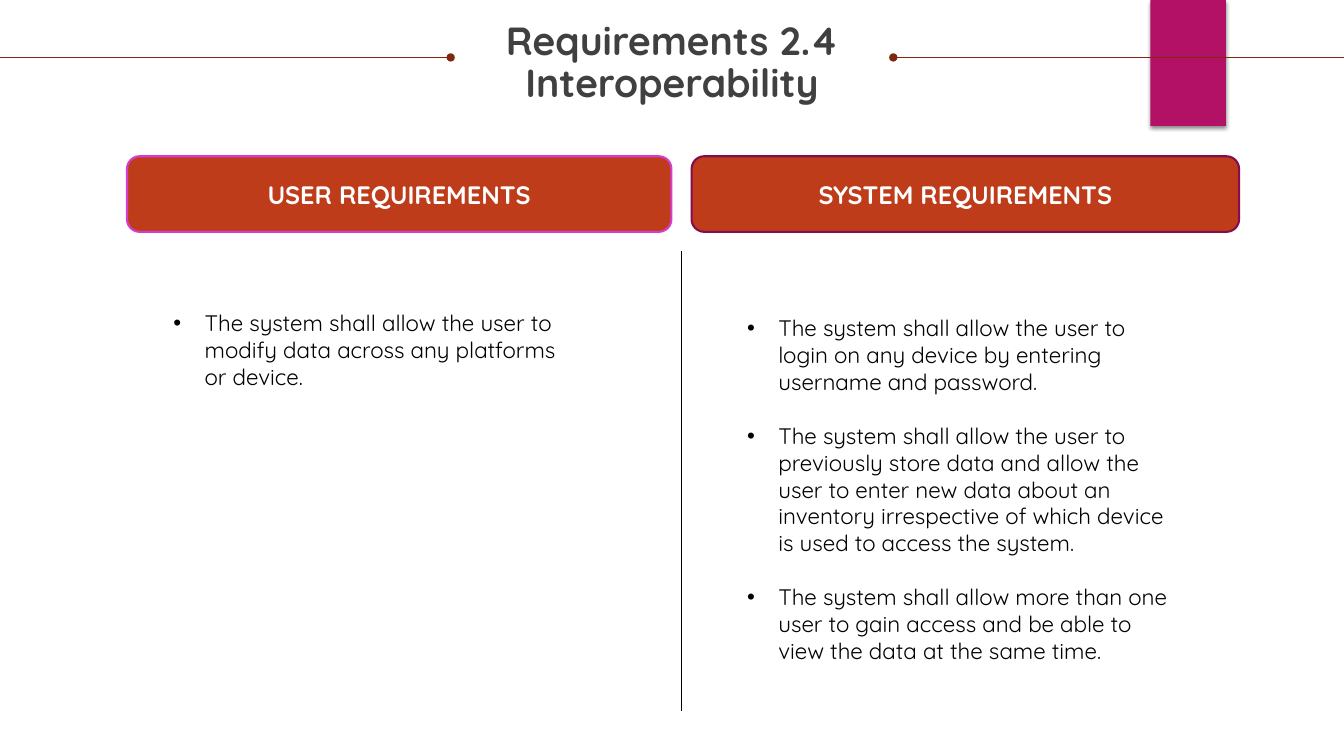
import pptx
import pptx.dml.color
import pptx.enum.shapes
import pptx.enum.text
import pptx.oxml
import pptx.oxml.ns
import pptx.util

Inches = pptx.util.Inches
Pt = pptx.util.Pt
ALIGN = pptx.enum.text.PP_ALIGN
ANCHOR = pptx.enum.text.MSO_ANCHOR
SHAPE = pptx.enum.shapes.MSO_SHAPE

COLORS = {
    "ribbon": "B31166", "rule": "7E2812", "title": "404040", "header": "BE3C1A",
    "user_edge": "D53DD0", "system_edge": "840D4B", "white": "FFFFFF", "black": "000000",
}


def xml(markup):
    """Parse one drawing element, declaring the a: namespace."""
    tag, rest = markup.split(" ", 1)
    return pptx.oxml.parse_xml(f"{tag} {pptx.oxml.ns.nsdecls('a')} {rest}")


class RequirementsSlide:
    """Holds the style and the current slide."""

    font = "Quicksand"

    def __init__(self, deck):
        """Add a slide with a title and two body placeholders."""
        self.slide = deck.slides.add_slide(deck.slide_layouts[3])
        self.bodies = list(self.slide.placeholders)[1:]

    def color(self, name):
        """Return a named colour."""
        return pptx.dml.color.RGBColor.from_string(COLORS[name])

    def place(self, shape, box):
        """Move a shape to left, top, width, height in inches."""
        shape.left, shape.top, shape.width, shape.height = map(Inches, box)

    def format_text(self, frame, size, color, bold=False, align=ALIGN.LEFT):
        """Format every paragraph and run in a text frame."""
        frame.word_wrap = True
        frame.auto_size = pptx.enum.text.MSO_AUTO_SIZE.NONE
        for paragraph in frame.paragraphs:
            paragraph.alignment = align
            paragraph.space_before = Pt(0)
            for run in paragraph.runs:
                run.font.name = self.font
                run.font.size = Pt(size)
                run.font.bold = bold
                run.font.color.rgb = self.color(color)

    def title(self, text, box):
        """Fill the title placeholder."""
        heading = self.slide.shapes.title
        self.place(heading, box)
        frame = heading.text_frame
        frame.text = text
        frame.vertical_anchor = ANCHOR.TOP
        frame.margin_left = frame.margin_top = frame.margin_right = frame.margin_bottom = 0
        self.format_text(frame, 28, "title", True, ALIGN.CENTER)
        for paragraph in frame.paragraphs:
            paragraph.line_spacing = 0.9

    def bullets(self, body, items, box):
        """Fill a body placeholder with bulleted requirements."""
        self.place(body, box)
        frame = body.text_frame
        frame.text = "\n".join(items)
        frame.vertical_anchor = ANCHOR.TOP
        self.format_text(frame, 16, "black")
        indent = Inches(0.31)
        for paragraph in frame.paragraphs:
            paragraph.space_after = Pt(19.2)
            properties = paragraph._p.get_or_add_pPr()
            properties.set("marL", str(indent))
            properties.set("indent", str(-indent))
            properties.append(xml('<a:buFont typeface="Arial"/>'))
            properties.append(xml('<a:buChar char="•"/>'))

    def block(self, kind, box, fill, edge=None):
        """Add a filled shape with an optional outline."""
        shape = self.slide.shapes.add_shape(kind, *map(Inches, box))
        shape.shadow.inherit = False
        shape.fill.solid()
        shape.fill.fore_color.rgb = self.color(fill)
        if edge:
            shape.line.color.rgb = self.color(edge)
            shape.line.width = Pt(1.5)
        else:
            shape.line.fill.background()
        return shape

    def ribbon(self, box):
        """Add the ribbon with its soft shadow below."""
        shape = self.block(SHAPE.RECTANGLE, box, "ribbon")
        effects = shape._element.spPr.find(pptx.oxml.ns.qn("a:effectLst"))
        effects.append(xml(
            f'<a:outerShdw blurRad="{Pt(3)}" dist="{Pt(2)}" dir="5400000" rotWithShape="0">'
            '<a:srgbClr val="000000"><a:alpha val="45000"/></a:srgbClr></a:outerShdw>'))

    def header(self, text, box, edge):
        """Add a rounded column header."""
        frame = self.block(SHAPE.ROUNDED_RECTANGLE, box, "header", edge).text_frame
        frame.text = text
        frame.vertical_anchor = ANCHOR.MIDDLE
        self.format_text(frame, 18, "white", True, ALIGN.CENTER)

    def rule(self, start, end, color, dot=False):
        """Add a thin line, optionally with a dot at its end."""
        line = self.slide.shapes.add_connector(
            pptx.enum.shapes.MSO_CONNECTOR.STRAIGHT, *map(Inches, start + end))
        line.line.color.rgb = self.color(color)
        line.line.width = Pt(0.75)
        if dot:
            line.line._get_or_add_ln().append(xml('<a:tailEnd type="oval"/>'))
        line._element.spPr.append(xml("<a:effectLst />"))


deck = pptx.Presentation()
deck.slide_width, deck.slide_height = Inches(13.33), Inches(7.5)
page = RequirementsSlide(deck)

page.ribbon((11.41, 0, 0.75, 1.25))
page.title("Requirements 2.4\nInteroperability", (0.25, 0.21, 12.83, 1.15))
for edge_x, dot_x in ((0, 4.47), (13.33, 8.86)):
    page.rule((edge_x, 0.57), (dot_x, 0.57), "rule", dot=True)

page.header("USER REQUIREMENTS", (1.26, 1.55, 5.4, 0.75), "user_edge")
page.header("SYSTEM REQUIREMENTS", (6.86, 1.55, 5.43, 0.75), "system_edge")
page.rule((6.76, 2.49), (6.76, 7.05), "black")

user_body, system_body = page.bodies
page.bullets(user_body, [
    "The system shall allow the user to modify data across any platforms or device.",
], (1.62, 3.02, 4.15, 0.91))
page.bullets(system_body, [
    "The system shall allow the user to login on any device by entering username and password.",
    "The system shall allow the user to previously store data and allow the user to enter new "
    "data about an inventory irrespective of which device is used to access the system.",
    "The system shall allow more than one user to gain access and be able to view the data "
    "at the same time.",
], (7.31, 3.07, 4.41, 4.41))

deck.save("out.pptx")
